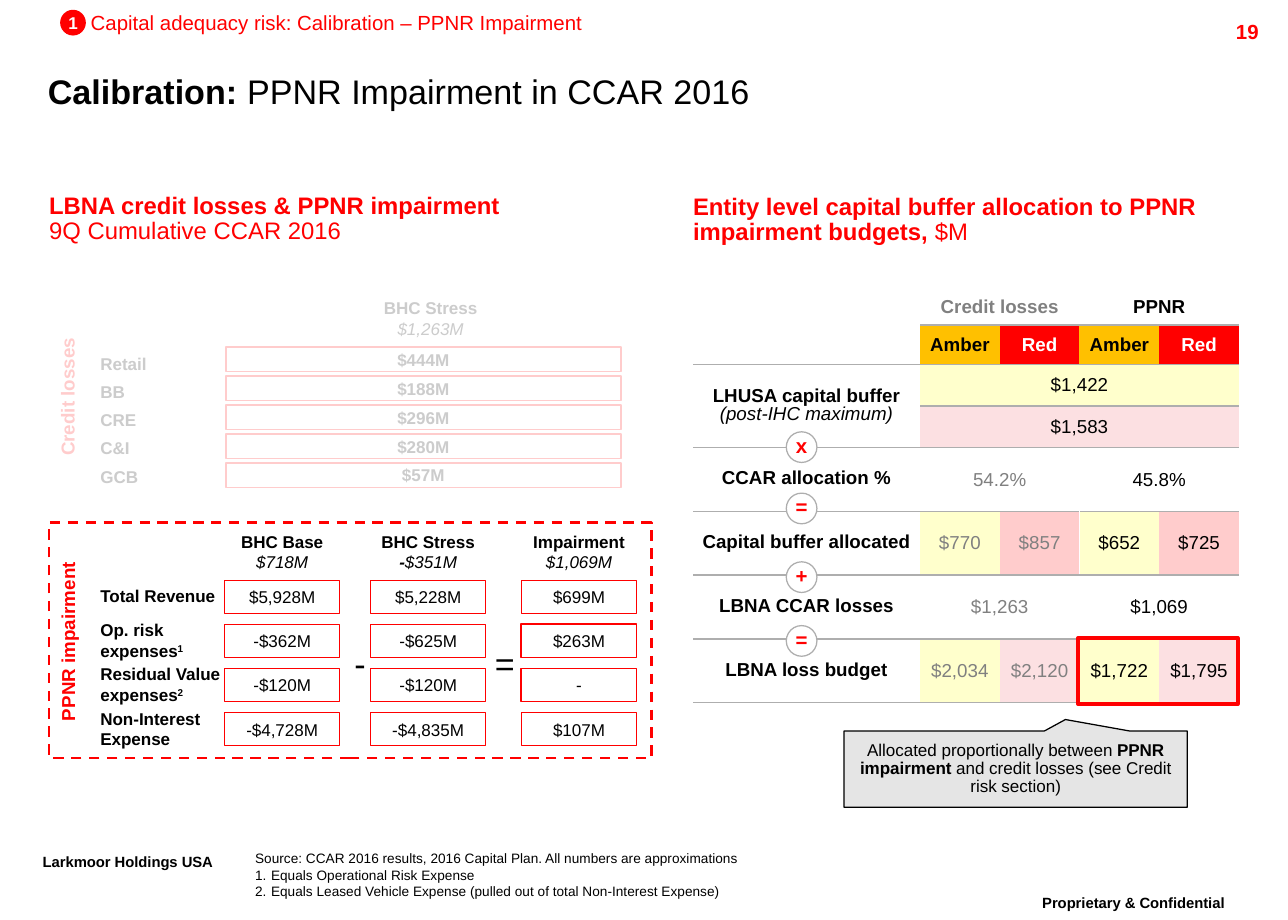
from dataclasses import dataclass

from lxml import etree
from pptx import Presentation
from pptx.dml.color import RGBColor
from pptx.enum import dml, shapes, text
from pptx.oxml.ns import qn
from pptx.util import Inches, Pt


@dataclass(frozen=True)
class Theme:
    font: str = "Arial"
    black: str = "000000"
    white: str = "FFFFFF"
    red: str = "FF0000"
    amber: str = "FFC000"
    grey: str = "808080"
    rule: str = "AEAEAE"
    callout: str = "E5E5E5"
    yellow: str = "FFFFCC"
    pink: str = "FCE0E2"
    rose: str = "FFCCCC"
    title: int = 20
    heading: int = 14
    tag: int = 12
    table: int = 11
    body: int = 10
    note: int = 8
    footer: int = 15


T = Theme()
LEFT, CENTER, RIGHT = text.PP_ALIGN.LEFT, text.PP_ALIGN.CENTER, text.PP_ALIGN.RIGHT
TOP, MIDDLE, BOTTOM = text.MSO_ANCHOR.TOP, text.MSO_ANCHOR.MIDDLE, text.MSO_ANCHOR.BOTTOM
RECT, OVAL = shapes.MSO_SHAPE.RECTANGLE, shapes.MSO_SHAPE.OVAL
TIGHT = 0.86

# Content: a paragraph is a list of (text, flags); b bold, i italic, ^ superscript
TITLE = [[("Calibration: ", "b"), ("PPNR Impairment in CCAR 2016", "")]]
LOSSES_HEADING = [[("LBNA credit losses & PPNR impairment", "b")],
                  [("9Q Cumulative CCAR 2016", "")]]
BUFFER_HEADING = [[("Entity level capital buffer allocation to PPNR impairment budgets, ", "b"),
                   ("$M", "")]]
SOURCE = [[("Source: CCAR 2016 results, 2016 Capital Plan. All numbers are approximations", "")],
          [("Equals Operational Risk Expense", "")],
          [("Equals Leased Vehicle Expense (pulled out of total Non-Interest Expense)", "")]]
CALLOUT = [[("Allocated proportionally between ", ""), ("PPNR impairment ", "b"),
            ("and credit losses (see Credit risk section)", "")]]

CREDIT_HEADER = [[("BHC Stress", "b")], [("$1,263M", "i")]]
CREDIT_LOSSES = [("Retail", "$444M"), ("BB", "$188M"), ("CRE", "$296M"),
                 ("C&I", "$280M"), ("GCB", "$57M")]

PPNR_LABELS = [[("Total Revenue", "b")],
               [("Op. risk expenses", "b"), ("1", "b^")],
               [("Residual Value expenses", "b"), ("2", "b^")],
               [("Non-Interest Expense", "b")]]
# left, header, values, line widths, fill
PPNR_COLUMNS = [
    (1.83, [[("BHC Base", "b")], [("$718M", "i")]],
     ["$5,928M", "-$362M", "-$120M", "-$4,728M"], [0.75] * 4, None),
    (3.02, [[("BHC Stress", "b")], [("-", "bi"), ("$351M", "i")]],
     ["$5,228M", "-$625M", "-$120M", "-$4,835M"], [0.75] * 4, None),
    (4.25, [[("Impairment", "b")], [("$1,069M", "i")]],
     ["$699M", "$263M", "-", "$107M"], [0.5, 1, 1, 0.5], T.white),
]
PPNR_OPERATORS = [("-", 2.83), ("=", 4.01)]

TABLE_COLUMNS = [1.85, 0.65, 0.65, 0.65, 0.65]
TABLE_ROWS = [0.3, 0.32, 0.34, 0.34, 0.52, 0.52, 0.52, 0.52]
ROW_LABELS = {2: [[("LHUSA capital buffer", "b")], [("(post-IHC maximum)", "i")]],
              4: [[("CCAR allocation %", "b")]],
              5: [[("Capital buffer allocated", "b")]],
              6: [[("LBNA CCAR losses", "b")]],
              7: [[("LBNA loss budget", "b")]]}
# row: (text, colour, fill, columns spanned, flags)
ROW_VALUES = {
    0: [("Credit losses", T.grey, T.white, 2, "b"), ("PPNR", T.black, T.white, 2, "b")],
    1: [("Amber", T.black, T.amber, 1, "b"), ("Red", T.white, T.red, 1, "b")] * 2,
    2: [("$1,422", T.black, T.yellow, 4, "")],
    3: [("$1,583", T.black, T.pink, 4, "")],
    4: [("54.2%", T.grey, T.white, 2, ""), ("45.8%", T.black, T.white, 2, "")],
    5: [("$770", T.grey, T.yellow, 1, ""), ("$857", T.grey, T.rose, 1, ""),
        ("$652", T.black, T.yellow, 1, ""), ("$725", T.black, T.rose, 1, "")],
    6: [("$1,263", T.grey, T.white, 2, ""), ("$1,069", T.black, T.white, 2, "")],
    7: [("$2,034", T.grey, T.yellow, 1, ""), ("$2,120", T.grey, T.pink, 1, ""),
        ("$1,722", T.black, T.yellow, 1, ""), ("$1,795", T.black, T.pink, 1, "")],
}
TABLE_OPERATORS = [("x", 3.52), ("=", 4.02), ("+", 4.58), ("=", 5.1)]


def write(frame, paragraphs, size=T.body, color=T.black, align=LEFT, anchor=TOP,
          spacing=None, insets=(0, 0), wrap=True, numbered_from=None):
    """Fill a text frame or a table cell with formatted paragraphs."""
    if isinstance(paragraphs, str):
        paragraphs = [[(paragraphs, "")]]
    frame.margin_left = frame.margin_right = Inches(insets[0])
    frame.margin_top = frame.margin_bottom = Inches(insets[1])
    frame.vertical_anchor = anchor
    body = getattr(frame, "text_frame", frame)
    if body is frame:
        frame.word_wrap = wrap
    for index, runs in enumerate(paragraphs):
        line = body.add_paragraph() if index else body.paragraphs[0]
        line.alignment = align
        if spacing:
            line.line_spacing = spacing
        if numbered_from is not None and index >= numbered_from:
            props = line._p.get_or_add_pPr()
            props.set("marL", str(Inches(0.13)))
            props.set("indent", str(-Inches(0.13)))
            etree.SubElement(props, qn("a:buFont"), typeface=T.font)
            etree.SubElement(props, qn("a:buAutoNum"), type="arabicPeriod")
        for words, flags in runs:
            run = line.add_run()
            run.text = words
            run.font.name, run.font.size = T.font, Pt(size)
            run.font.color.rgb = RGBColor.from_string(color)
            run.font.bold, run.font.italic = "b" in flags, "i" in flags
            if "^" in flags:
                run.font._element.set("baseline", "30000")


def label(slide, at, paragraphs, rotation=0, **fmt):
    box = slide.shapes.add_textbox(*map(Inches, at))
    box.rotation = rotation
    write(box.text_frame, paragraphs, **fmt)


def figure(slide, kind, at, paragraphs=None, fill=None, line=None, width=1, **fmt):
    item = slide.shapes.add_shape(kind, *map(Inches, at))
    item.shadow.inherit = False
    if fill:
        item.fill.solid()
        item.fill.fore_color.rgb = RGBColor.from_string(fill)
    else:
        item.fill.background()
    if line:
        item.line.color.rgb = RGBColor.from_string(line)
        item.line.width = Pt(width)
    else:
        item.line.fill.background()
    if paragraphs:
        write(item.text_frame, paragraphs, align=CENTER, anchor=MIDDLE, **fmt)
    return item


def set_borders(cell, **colors):
    props = cell._tc.get_or_add_tcPr()
    for index, side in enumerate("LRTB"):
        edge = etree.Element(qn(f"a:ln{side}"), w=str(Pt(1)))
        if colors.get(side):
            solid = etree.SubElement(edge, qn("a:solidFill"))
            etree.SubElement(solid, qn("a:srgbClr"), val=colors[side])
        else:
            etree.SubElement(edge, qn("a:noFill"))
        props.insert(index, edge)


def draw_header_and_footer(slide):
    figure(slide, OVAL, (0.49, 0.08, 0.21, 0.21), [[("1", "b")]], fill=T.red,
           color=T.white, wrap=False)
    label(slide, (0.74, 0.08, 4.04, 0.2), "Capital adequacy risk: Calibration – PPNR Impairment",
          size=T.tag, color=T.red, wrap=False)
    label(slide, (9.36, 0.11, 1, 0.24), [[("19", "b")]], size=T.tag, color=T.red,
          align=RIGHT, insets=(0.1, 0.05))
    label(slide, (0.39, 0.5, 9.48, 0.48), TITLE, size=T.title, anchor=MIDDLE)
    label(slide, (0.4, 1.59, 5.8, 0.41), LOSSES_HEADING, size=T.heading, color=T.red,
          spacing=TIGHT)
    label(slide, (5.65, 1.6, 4.47, 0.41), BUFFER_HEADING, size=T.heading, color=T.red,
          spacing=TIGHT)
    label(slide, (2.08, 6.93, 6.06, 0.4), SOURCE, size=T.note, anchor=BOTTOM, numbered_from=1)
    footer = dict(size=T.footer, spacing=TIGHT, insets=(0.1, 0.05), wrap=False)
    label(slide, (0.25, 6.91, 1.91, 0.35), [[("Larkmoor Holdings USA", "b^")]], **footer)
    label(slide, (8.15, 7.25, 2.18, 0.35), [[("Proprietary & Confidential", "b^")]],
          align=CENTER, **footer)


def draw_credit_losses(slide):
    label(slide, (-0.35, 3.15, 1.78, 0.17), [[("Credit losses", "b")]], rotation=270,
          size=T.table, color=T.red, align=CENTER)
    label(slide, (2.94, 2.38, 1.14, 0.44), CREDIT_HEADER, align=CENTER, insets=(0.1, 0.05))
    for row, (segment, loss) in enumerate(CREDIT_LOSSES):
        label(slide, (0.72, 2.83 + 0.23 * row, 1.2, 0.27), [[(segment, "b")]],
              insets=(0.1, 0.05))
        figure(slide, RECT, (1.84, 2.83 + 0.236 * row, 3.22, 0.2), [[(loss, "b")]], line=T.red)
    # Translucent veil that fades this section
    veil = figure(slide, RECT, (0.37, 2.18, 4.93, 2), fill=T.white)
    tint = veil._element.spPr.find(qn("a:solidFill"))[0]
    etree.SubElement(tint, qn("a:alpha"), val="80000")


def draw_ppnr_impairment(slide):
    frame = figure(slide, RECT, (0.4, 4.26, 4.91, 1.92), line=T.red, width=1.5)
    frame.line.dash_style = dml.MSO_LINE.DASH
    label(slide, (-0.32, 5.1, 1.82, 0.26), [[("PPNR impairment", "b")]], rotation=270,
          size=T.table, color=T.red, align=CENTER)
    tops = [4.73 + 0.36 * row for row in range(len(PPNR_LABELS))]
    for top, name in zip(tops, PPNR_LABELS):
        label(slide, (0.72, top - 0.09, 1.2, 0.44), [name], anchor=MIDDLE, insets=(0.1, 0.05))
    for left, header, amounts, widths, fill in PPNR_COLUMNS:
        label(slide, (left - 0.1, 4.28, 1.14, 0.44), header, align=CENTER, insets=(0.1, 0.05))
        for top, amount, width in zip(tops, amounts, widths):
            figure(slide, RECT, (left, top, 0.94, 0.27), amount, fill=fill, line=T.red,
                   width=width)
    for sign, left in PPNR_OPERATORS:
        label(slide, (left, 5.24, 0.21, 0.41), sign, size=T.title, align=CENTER)


def draw_buffer_table(slide):
    grid = slide.shapes.add_table(len(TABLE_ROWS), len(TABLE_COLUMNS), Inches(5.65),
                                  Inches(2.35), Inches(4.45), Inches(3.38)).table
    for column, width in zip(grid.columns, TABLE_COLUMNS):
        column.width = Inches(width)
    for row, height in zip(grid.rows, TABLE_ROWS):
        row.height = Inches(height)
    for r in range(len(TABLE_ROWS)):
        for c in range(len(TABLE_COLUMNS)):
            cell = grid.cell(r, c)
            cell.fill.solid()
            cell.fill.fore_color.rgb = RGBColor.from_string(T.white)
            set_borders(cell, T=T.rule if r else None, B=T.rule,
                        R=T.white if (r, c) == (5, 2) else None,
                        L=T.white if (r, c) == (5, 3) else None)
    for r in (0, 2):
        grid.cell(r, 0).merge(grid.cell(r + 1, 0))
    write(grid.cell(0, 0), "", size=T.table)
    for r, name in ROW_LABELS.items():
        write(grid.cell(r, 0), name, size=T.table, align=CENTER, anchor=MIDDLE,
              spacing=TIGHT, insets=(0.05, 0.05))
    for r, values in ROW_VALUES.items():
        c = 1
        for words, color, fill, span, flags in values:
            cell = grid.cell(r, c)
            if span > 1:
                cell.merge(grid.cell(r, c + span - 1))
            cell.fill.fore_color.rgb = RGBColor.from_string(fill)
            write(cell, [[(words, flags)]], size=T.table, color=color, align=CENTER,
                  anchor=MIDDLE, insets=(0.04, 0.03))
            c += span
    # Highlight, operators and callout
    figure(slide, RECT, (8.79, 5.2, 1.3, 0.54), line=T.red, width=2.25)
    for sign, top in TABLE_OPERATORS:
        figure(slide, OVAL, (6.41, top, 0.25, 0.25), [[(sign, "b")]], fill=T.white,
               line=T.rule, width=0.75, size=T.tag, color=T.red, spacing=TIGHT, wrap=False)
    callout = figure(slide, shapes.MSO_SHAPE.RECTANGULAR_CALLOUT, (6.88, 5.96, 2.8, 0.62),
                     CALLOUT, fill=T.callout, line=T.black, width=0.75, spacing=TIGHT,
                     insets=(0.08, 0.08))
    callout.adjustments[0], callout.adjustments[1] = 0.145, -0.652


def main():
    deck = Presentation()
    deck.slide_width, deck.slide_height = Inches(10.5), Inches(7.5)
    slide = deck.slides.add_slide(deck.slide_layouts[6])
    draw_header_and_footer(slide)
    draw_buffer_table(slide)
    draw_credit_losses(slide)
    draw_ppnr_impairment(slide)
    deck.save("out.pptx")


if __name__ == "__main__":
    main()
